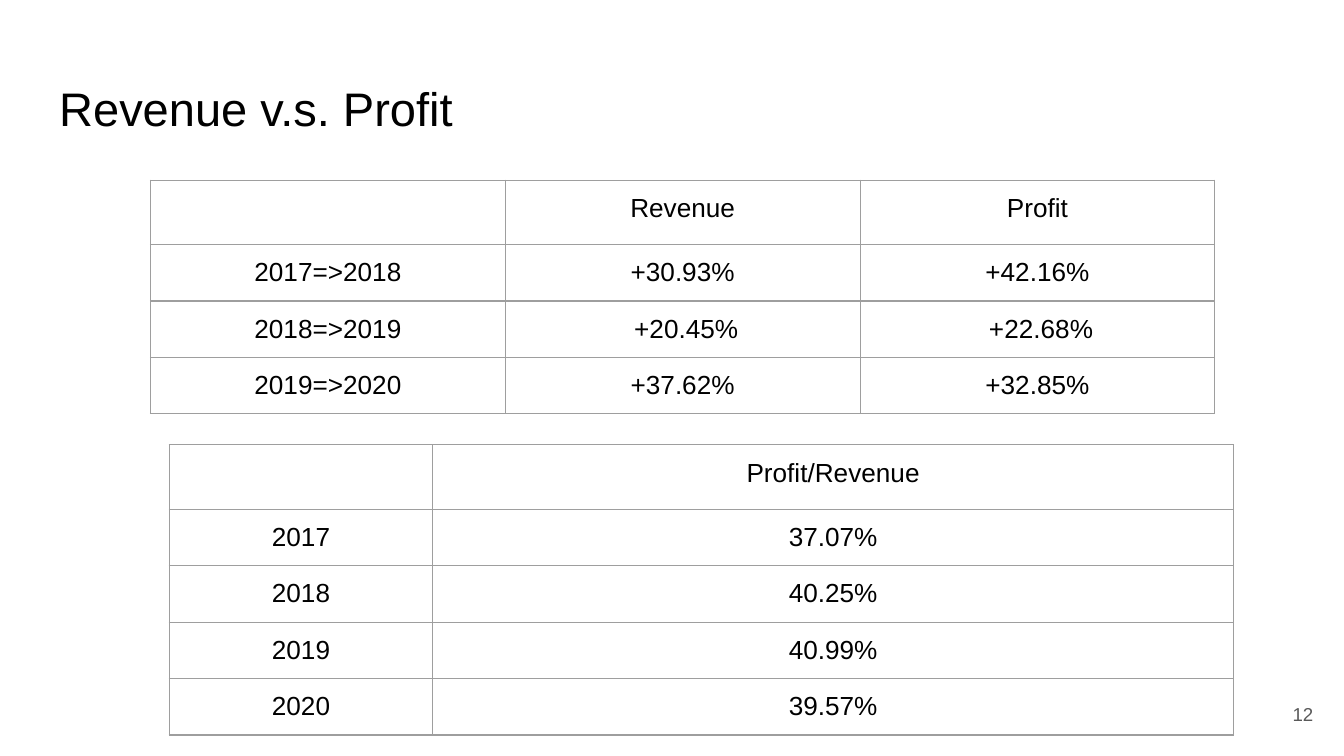
"""Build the revenue versus profit slide with its two comparison tables."""
import lxml.etree
import pptx
import pptx.dml.color
import pptx.enum.text
import pptx.oxml.ns
import pptx.util

Inches, Pt = pptx.util.Inches, pptx.util.Pt
qn = pptx.oxml.ns.qn
ALIGN = pptx.enum.text.PP_ALIGN
ANCHOR = pptx.enum.text.MSO_ANCHOR
COLORS = {"text": "000000", "border": "9E9E9E", "page": "595959"}
INSET = Inches(0.1)


def style_paragraph(paragraph, size, color, alignment):
    paragraph.alignment = alignment
    paragraph.font.name = "Arial"
    paragraph.font.size = Pt(size)
    paragraph.font.color.rgb = pptx.dml.color.RGBColor.from_string(COLORS[color])


def set_insets(holder):
    holder.margin_left = holder.margin_right = INSET
    holder.margin_top = holder.margin_bottom = INSET


deck = pptx.Presentation()
deck.slide_width = Inches(10)
deck.slide_height = deck.slide_width * 9 // 16
slide = deck.slides.add_slide(deck.slide_layouts[5])

title = slide.shapes.title
title.left, title.top = Inches(0.34), Inches(0.49)
title.width, title.height = Inches(9.32), Inches(0.63)
title.text_frame.text = "Revenue v.s. Profit"
title.text_frame.vertical_anchor = ANCHOR.TOP
set_insets(title.text_frame)
style_paragraph(title.text_frame.paragraphs[0], 25.2, "text", ALIGN.LEFT)

growth = [
    ["", "Revenue", "Profit"],
    ["2017=>2018", "+30.93%", "+42.16%"],
    ["2018=>2019", " +20.45%", " +22.68%"],
    ["2019=>2020", "+37.62%", "+32.85%"],
]
margin = [
    ["", "Profit/Revenue"],
    ["2017", "37.07%"],
    ["2018", "40.25%"],
    ["2019", "40.99%"],
    ["2020", "39.57%"],
]
header_height, row_height = 0.48, 0.42

for records, left, top, widths in [
    (growth, 1.12, 1.34, [2.64, 2.64, 2.64]),
    (margin, 1.26, 3.31, [1.96, 5.96]),
]:
    heights = [header_height] + [row_height] * (len(records) - 1)
    table = slide.shapes.add_table(
        len(records), len(widths), Inches(left), Inches(top),
        Inches(sum(widths)), Inches(sum(heights)),
    ).table
    table.first_row = table.horz_banding = False
    for column, width in zip(table.columns, widths):
        column.width = Inches(width)
    for row, height, record in zip(table.rows, heights, records):
        row.height = Inches(height)
        for cell, value in zip(row.cells, record):
            cell.text = value
            set_insets(cell)
            style_paragraph(cell.text_frame.paragraphs[0], 14, "text", ALIGN.CENTER)
            properties = cell._tc.get_or_add_tcPr()
            for side in ("a:lnL", "a:lnR", "a:lnT", "a:lnB"):
                border = lxml.etree.SubElement(properties, qn(side), w=str(Pt(0.75)))
                paint = lxml.etree.SubElement(border, qn("a:solidFill"))
                lxml.etree.SubElement(paint, qn("a:srgbClr"), val=COLORS["border"])
            cell.fill.background()

page_number = slide.shapes.add_textbox(
    Inches(9.27), Inches(5.1), Inches(0.6), Inches(0.43)
).text_frame
page_number.text = "12"
page_number.word_wrap = True
page_number.vertical_anchor = ANCHOR.MIDDLE
set_insets(page_number)
style_paragraph(page_number.paragraphs[0], 10, "page", ALIGN.RIGHT)

deck.save("out.pptx")
